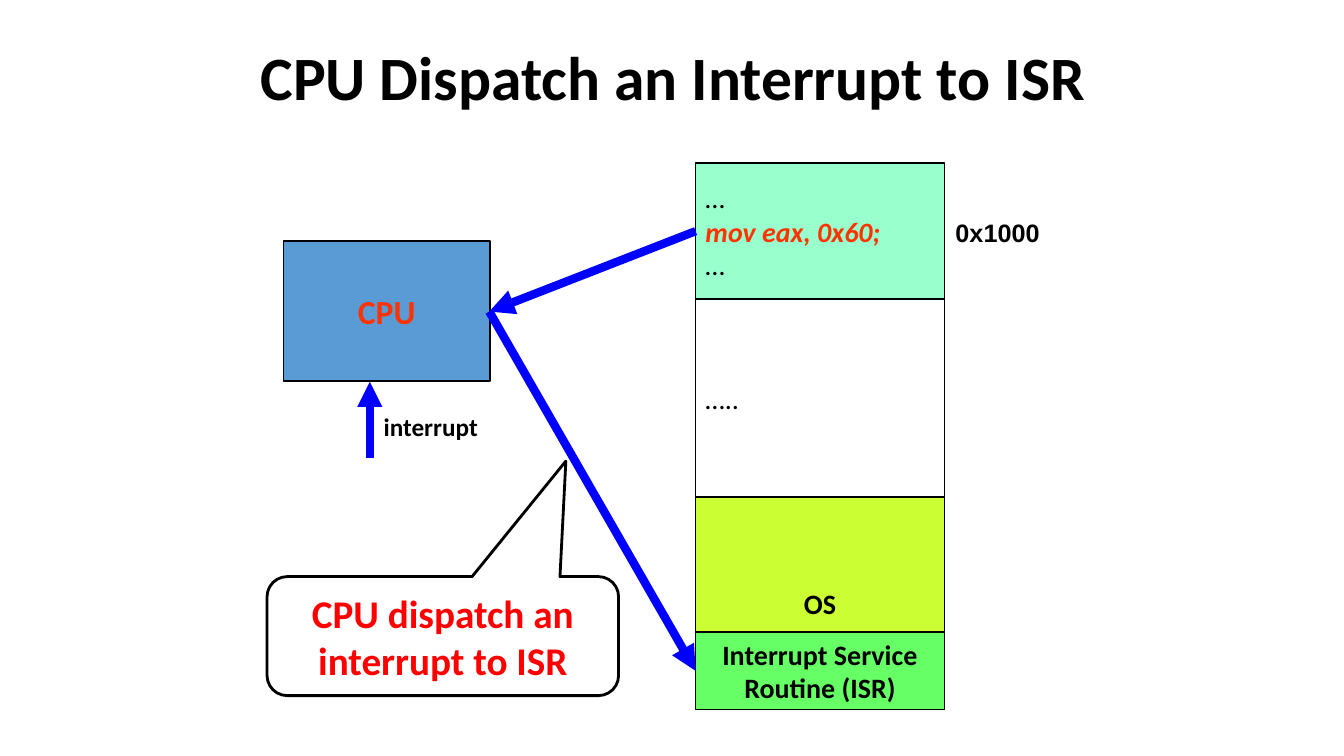
from dataclasses import dataclass

from lxml import etree
from pptx import Presentation
from pptx.dml.color import RGBColor
from pptx.enum.shapes import MSO_CONNECTOR, MSO_SHAPE
from pptx.enum.text import MSO_ANCHOR, MSO_AUTO_SIZE, PP_ALIGN
from pptx.oxml.ns import qn
from pptx.util import Cm, Pt

RECT = MSO_SHAPE.RECTANGLE
CALLOUT = MSO_SHAPE.ROUNDED_RECTANGULAR_CALLOUT
STRAIGHT = MSO_CONNECTOR.STRAIGHT
LEFT, CENTER = PP_ALIGN.LEFT, PP_ALIGN.CENTER
MIDDLE = MSO_ANCHOR.MIDDLE
FIXED, GROW = MSO_AUTO_SIZE.NONE, MSO_AUTO_SIZE.SHAPE_TO_FIT_TEXT


@dataclass(frozen=True)
class Theme:
    font: str = "Calibri"
    mono: str = "Arial"
    black: str = "000000"
    hot: str = "FF3300"
    red: str = "FF0000"
    arrow: str = "0000FF"
    cpu: str = "5B9BD5"
    code: str = "99FFCC"
    system: str = "CCFF33"
    isr: str = "66FF66"
    title: int = 44
    note: int = 28
    chip: int = 24
    body: int = 20
    label: int = 18


THEME = Theme()


def rgb(code):
    return RGBColor.from_string(code)


def style(para, size, color=THEME.black, bold=True, italic=False,
          align=CENTER, font=THEME.font):
    para.alignment = align
    for run in para.runs:
        face = run.font
        face.name, face.size = font, Pt(size)
        face.bold, face.italic = bold, italic
        face.color.rgb = rgb(color)


def write(frame, text, size, **look):
    """Put text in a frame, one paragraph per line."""
    frame.text = text
    for para in frame.paragraphs:
        style(para, size, **look)


def add_box(slide, box, text, size, fill=None, kind=RECT, width=1, **look):
    shape = slide.shapes.add_shape(kind, *map(Cm, box))
    shape.shadow.inherit = False
    if fill:
        shape.fill.solid()
        shape.fill.fore_color.rgb = rgb(fill)
    else:
        shape.fill.background()
    shape.line.color.rgb = rgb(THEME.black)
    shape.line.width = Pt(width)
    frame = shape.text_frame
    frame.word_wrap = True
    frame.vertical_anchor = MIDDLE
    write(frame, text, size, **look)
    return shape


def add_label(slide, box, text, wrap, **look):
    frame = slide.shapes.add_textbox(*map(Cm, box)).text_frame
    frame.word_wrap = wrap
    frame.auto_size = GROW
    write(frame, text, THEME.label, align=LEFT, **look)


def add_arrow(slide, start, end):
    line = slide.shapes.add_connector(STRAIGHT, *map(Cm, start + end))
    line.line.color.rgb = rgb(THEME.arrow)
    line.line.width = Pt(6)
    tail = etree.SubElement(line.line._get_or_add_ln(), qn("a:tailEnd"))
    tail.set("type", "triangle")
    etree.SubElement(line._element.spPr, qn("a:effectLst"))


def add_title(slide, text):
    title = slide.shapes.title
    title.left, title.top = Cm(1.73), Cm(0.33)
    title.width, title.height = Cm(30.48), Cm(3.18)
    frame = title.text_frame
    frame.auto_size = FIXED
    frame.vertical_anchor = MIDDLE
    write(frame, text, THEME.title)


def add_memory(slide, left, width):
    """Stack the memory blocks; the OS block reaches down behind the ISR."""
    top, mid, system, isr, end = 4.11, 7.54, 12.52, 15.93, 17.88

    def block(start, stop, *args, **look):
        box = (left, start, width, stop - start)
        return add_box(slide, box, *args, **look)

    code = block(top, mid, "…\nmov eax, 0x60;\n…", THEME.body, THEME.code,
                 bold=False, align=LEFT)
    style(code.text_frame.paragraphs[1], THEME.body, THEME.hot,
          italic=True, align=LEFT)
    block(system, end, "OS", THEME.body, THEME.system)
    block(mid, system, "…..", THEME.body, bold=False, align=LEFT)
    block(isr, end, "Interrupt Service\nRoutine (ISR)", THEME.body, THEME.isr)
    return (left, (top + mid) / 2), (left, (isr + end) / 2)


def main():
    deck = Presentation()
    deck.slide_width, deck.slide_height = Cm(33.87), Cm(19.05)
    slide = deck.slides.add_slide(deck.slide_layouts[5])
    add_title(slide, "CPU Dispatch an Interrupt to ISR")

    code, isr = add_memory(slide, 17.53, 6.27)
    add_box(slide, (7.14, 6.07, 5.21, 3.53), "CPU", THEME.chip, THEME.cpu,
            color=THEME.hot)
    port = (12.33, 7.85)
    add_arrow(slide, code, port)
    add_arrow(slide, port, isr)
    add_arrow(slide, (9.32, 11.53), (9.32, 9.62))

    add_label(slide, (9.42, 10.24, 2.9, 1.02), "interrupt", False)
    add_label(slide, (23.83, 5.36, 2.92, 1.02), "0x1000", True,
              font=THEME.mono)
    note = add_box(slide, (6.73, 14.53, 8.86, 3), "CPU dispatch an interrupt to ISR",
                   THEME.note, kind=CALLOUT, width=2, color=THEME.red)
    for i, value in enumerate((0.35, -1.47, 0.17)):
        note.adjustments[i] = value

    deck.save("out.pptx")


if __name__ == "__main__":
    main()
